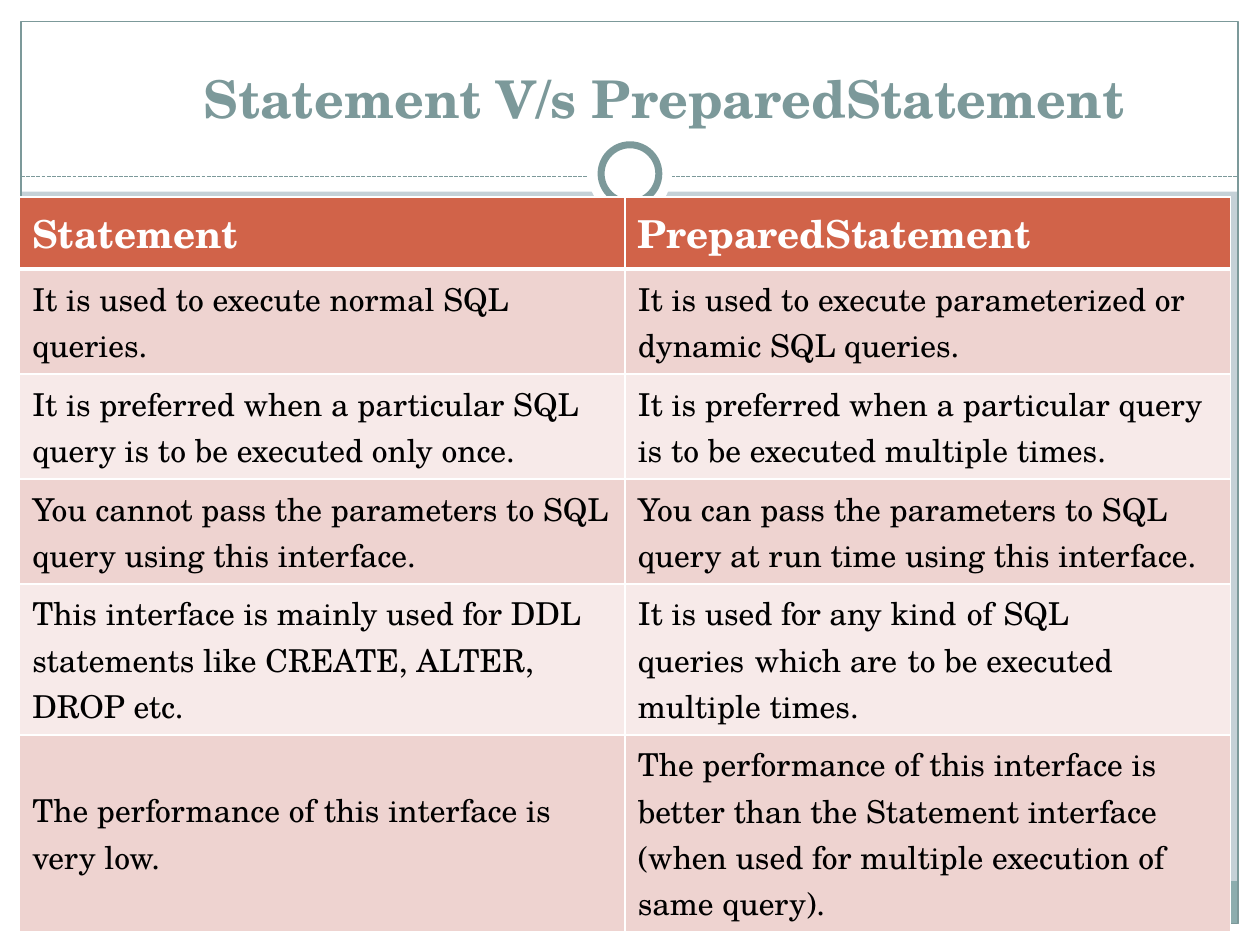
import pptx
import pptx.dml.color
import pptx.enum.dml
import pptx.enum.shapes
import pptx.enum.text
import pptx.oxml
import pptx.oxml.ns
import pptx.util

Pt = pptx.util.Pt
SHAPE = pptx.enum.shapes.MSO_SHAPE
ANCHOR = pptx.enum.text.MSO_ANCHOR
ALIGN = pptx.enum.text.PP_ALIGN
rgb = pptx.dml.color.RGBColor.from_string

WHITE, TEAL = "FFFFFF", "7C999A"
NS = pptx.oxml.ns.nsdecls("a")
NBSP = chr(160)  # no-break space, keeps words on one line


def write(tf, text, size=18, color="000000", bold=False, align=ALIGN.LEFT):
    p = tf.paragraphs[0]
    p.alignment = align
    r = p.add_run()
    r.text = text
    r.font.name = "TeX Gyre Schola"
    r.font.size = Pt(size)
    r.font.bold = bold
    r.font.color.rgb = rgb(color)


prs = pptx.Presentation()
prs.slide_width, prs.slide_height = Pt(720), Pt(540)
s = prs.slides.add_slide(prs.slide_layouts[6])
s.background.fill.solid()
s.background.fill.fore_color.rgb = rgb("C5D1D7")

# White margins, footer band, frame
# kind, left, top, width, height, fill, line width
frame = [
    (SHAPE.RECTANGLE, 0, 528, 720, 12, WHITE, 0),
    (SHAPE.RECTANGLE, 0, 0, 720, 109.5, WHITE, 0),
    (SHAPE.RECTANGLE, 0, 0, 12, 540, WHITE, 0),
    (SHAPE.RECTANGLE, 708, 0, 12, 540, WHITE, 0),
    (SHAPE.RECTANGLE, 11.75, 503.5, 695.5, 24.5, "8CADAE", 0),
    (SHAPE.RECTANGLE, 12, 12.25, 695.5, 515.5, None, 0.75),
]
# Ring on the divider
ring = [
    (SHAPE.OVAL, 336, 75.5, 48, 48, WHITE, 0),
    (SHAPE.OVAL, 343.5, 82.75, 33, 33, WHITE, 4),
]
for kind, x, y, w, h, fill, line in frame + ring:
    if kind == SHAPE.OVAL and not line:
        # Dashed divider lies just behind the ring
        ln = s.shapes.add_connector(pptx.enum.shapes.MSO_CONNECTOR.STRAIGHT,
                                    Pt(12), Pt(100.75), Pt(708), Pt(100.75))
        ln.line.color.rgb = rgb(TEAL)
        ln.line.width = Pt(0.75)
        ln.line.dash_style = pptx.enum.dml.MSO_LINE.SQUARE_DOT
        ln._element.spPr.append(pptx.oxml.parse_xml(f"<a:effectLst {NS}/>"))
    sp = s.shapes.add_shape(kind, Pt(x), Pt(y), Pt(w), Pt(h))
    sp.shadow.inherit = False
    if fill:
        sp.fill.solid()
        sp.fill.fore_color.rgb = rgb(fill)
    else:
        sp.fill.background()
    if line:
        sp.line.color.rgb = rgb(TEAL)
        sp.line.width = Pt(line)
    else:
        sp.line.fill.background()

# Title
tf = s.shapes.add_textbox(Pt(67.5), Pt(50.5), Pt(624.5), Pt(26.5)).text_frame
tf.word_wrap = True
tf.vertical_anchor = ANCHOR.BOTTOM
tf.margin_top, tf.margin_bottom = 0, Pt(3.6)
write(tf, "Statement V/s PreparedStatement", size=29.7, color=TEAL, bold=True,
      align=ALIGN.CENTER)

# Comparison table
rows = [
    ("Statement", "PreparedStatement"),
    ("It is used to execute normal SQL queries.",
     "It is used to execute parameterized or dynamic SQL queries."),
    ("It is preferred when a particular SQL query is to be executed only once.",
     "It is preferred when a particular query is to be executed multiple times."),
    ("You cannot pass the parameters to SQL query using this interface.",
     "You can pass the parameters to SQL query at run time using this interface."),
    ("This interface is mainly used for DDL statements like CREATE, ALTER, DROP etc.",
     f"It is used for any kind{NBSP}of{NBSP}SQL queries{NBSP}which are{NBSP}to "
     "be executed multiple times."),
    ("The performance of this interface is very low.",
     "The performance of this interface is better than the Statement interface "
     "(when used for multiple execution of same query)."),
]
heights = [41.25, 60, 60, 60, 86.25, 112.5]
table = s.shapes.add_table(len(rows), 2, Pt(11.25), Pt(112.5),
                           Pt(692), Pt(sum(heights))).table
for col in table.columns:
    col.width = Pt(346)
for i, (row, height) in enumerate(zip(rows, heights)):
    table.rows[i].height = Pt(height)
    header = i == 0
    fill = "D16349" if header else ("F7EAE9", "EED3D0")[i % 2]
    for j, text in enumerate(row):
        cell = table.cell(i, j)
        cell.vertical_anchor = ANCHOR.TOP if header else ANCHOR.MIDDLE
        if header:
            write(cell.text_frame, text, size=22, color=WHITE, bold=True)
        else:
            write(cell.text_frame, text)
        # White borders, thicker between header and body
        tcPr = cell._tc.get_or_add_tcPr()
        for side in "LRTB":
            thick = (i, side) in ((0, "B"), (1, "T"))
            tcPr.append(pptx.oxml.parse_xml(
                f'<a:ln{side} {NS} w="{Pt(3 if thick else 1)}"><a:solidFill>'
                f'<a:srgbClr val="{WHITE}"/></a:solidFill></a:ln{side}>'))
        cell.fill.solid()
        cell.fill.fore_color.rgb = rgb(fill)

prs.save("out.pptx")
